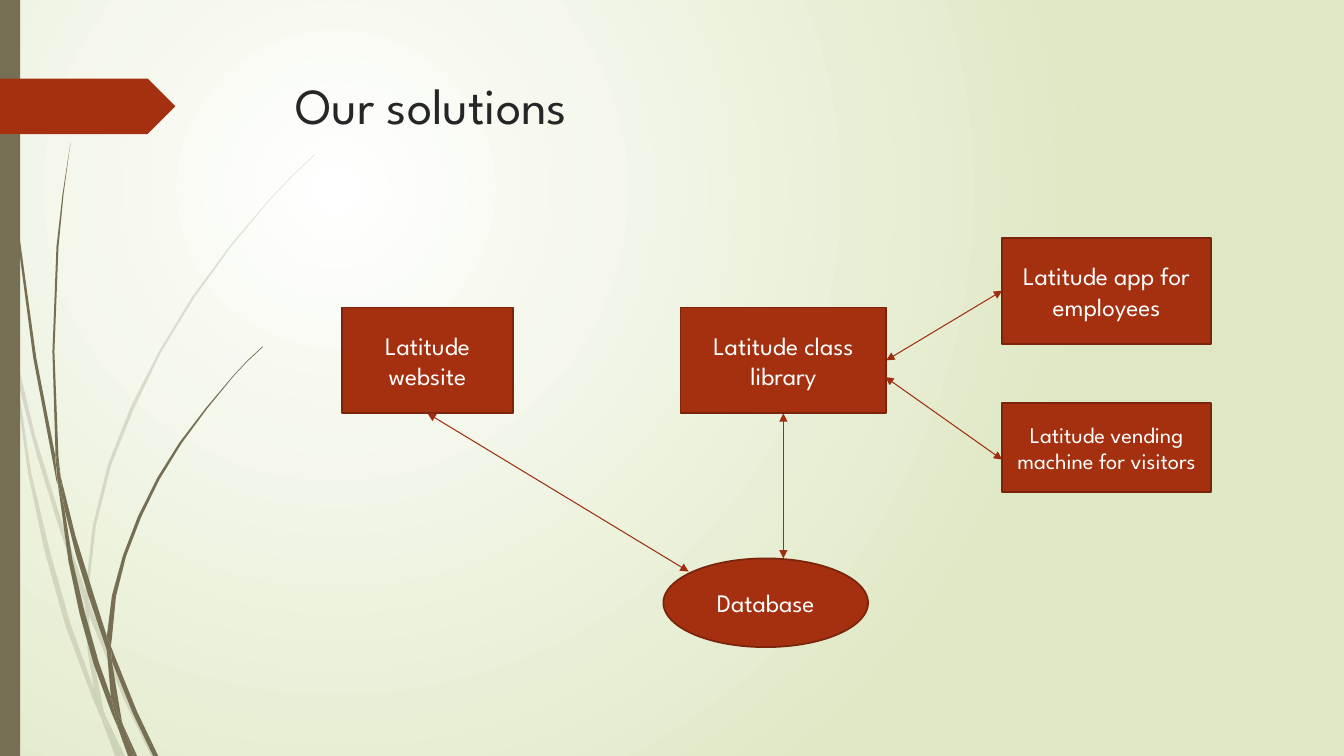
from pptx import Presentation
from pptx.dml.color import RGBColor
from pptx.enum.shapes import MSO_CONNECTOR, MSO_SHAPE
from pptx.enum.text import MSO_ANCHOR, PP_ALIGN
from pptx.oxml import parse_xml
from pptx.oxml.ns import nsdecls, qn
from pptx.util import Inches, Pt

RECT, OVAL, TAG = MSO_SHAPE.RECTANGLE, MSO_SHAPE.OVAL, MSO_SHAPE.PENTAGON
STRAIGHT = MSO_CONNECTOR.STRAIGHT
MIDDLE, TOP = MSO_ANCHOR.MIDDLE, MSO_ANCHOR.TOP
CENTER, LEFT = PP_ALIGN.CENTER, PP_ALIGN.LEFT

WIDE, HIGH = 13.33, 7.5
FONT = "League Spartan"
RUST, EDGE, ARROW = "A53010", "7A240C", "9E2E0F"
OLIVE, INK, WHITE, LIME = "766F54", "262626", "FFFFFF", "DFE8C4"

TITLE = "Our solutions"
NODES = {
    "data": ("Database", OVAL, 18, (6.58, 5.54, 2.03, 0.88)),
    "site": ("Latitude website", RECT, 18, (3.39, 3.05, 1.7, 1.05)),
    "lib": ("Latitude class library", RECT, 18, (6.75, 3.05, 2.04, 1.05)),
    "vend": ("Latitude vending machine for visitors", RECT, 16, (9.94, 4, 2.07, 0.88)),
    "app": ("Latitude app for employees", RECT, 18, (9.94, 2.36, 2.07, 1.05)),
}
LINKS = [
    ((4.24, 4.1), (6.83, 5.67), ("site", 2), None),
    ((7.77, 4.1), (7.77, 5.54), ("lib", 2), None),
    ((8.78, 3.58), (9.94, 2.89), ("lib", 3), ("app", 1)),
    ((8.78, 3.74), (9.94, 4.56), None, None),
]
# Outlines of the grass, x and y in turn
PALE = [
    (0.11, 3.5, 0.09, 3.22, 0, 2.82, 0, 2.99, 0.1, 3.44),
    (0.58, 5.22, 0.84, 5.99, 0.85, 5.86, 0.62, 5.2, 0.35, 4.33, 0.14, 3.45,
     0.17, 3.76, 0.36, 4.5),
    (0.92, 6.07, 0.88, 5.96, 0.88, 6.1, 1.23, 6.94, 1.5, 7.5, 1.55, 7.5, 1.27, 6.92),
    (1.19, 7.5, 1.24, 7.5, 1.05, 7.11),
    (0.93, 6.83, 0.7, 6.19, 0.49, 5.45, 0.31, 4.69, 0.17, 3.76, 0.11, 3.5, 0.28, 4.7,
     0.44, 5.46, 0.65, 6.21, 0.92, 6.93, 1.01, 7.14, 0.99, 7.07),
    (0.84, 5.99, 0.87, 6.46, 0.93, 6.83, 0.96, 6.92, 1.05, 7.11, 1.03, 7.06, 0.91, 6.46,
     0.88, 6.1, 0.88, 6.08),
    (0.88, 5.84, 0.95, 5.22, 1.1, 4.62, 1.33, 4.05, 1.6, 3.49, 1.93, 2.95, 2.29, 2.45,
     2.68, 1.98, 2.9, 1.75, 3.12, 1.54, 3.12, 1.53, 2.89, 1.75, 2.68, 1.97, 2.28, 2.44,
     1.91, 2.94, 1.58, 3.48, 1.3, 4.03, 1.07, 4.61, 0.92, 5.22, 0.85, 5.84, 0.85, 5.86,
     0.88, 5.96),
    (1.01, 7.14, 1.14, 7.5, 1.19, 7.5),
    (0.88, 6.08, 0.88, 6.1, 0.88, 5.96, 0.85, 5.86, 0.84, 5.99),
    (0.96, 6.92, 0.93, 6.83, 0.99, 7.07, 1.01, 7.14, 1.19, 7.5, 1.05, 7.11),
]
DARK = [
    (0.07, 1.1, 0.17, 2.33, 0.33, 3.55, 0.56, 4.77, 0.57, 4.81, 0.55, 4.57, 0.55, 4.53,
     0.36, 3.55, 0.19, 2.32, 0.08, 1.09, 0.05, 0.48, 0.04, 0, 0.03, 0, 0.04, 0.48),
    (0.88, 5.92, 1.06, 6.45, 1.06, 6.31, 0.93, 5.9, 0.75, 5.32, 0.6, 4.72, 0.64, 5.05,
     0.75, 5.49),
    (1.13, 6.49, 1.1, 6.41, 1.11, 6.56, 1.32, 7.08, 1.52, 7.5, 1.57, 7.5, 1.36, 7.06),
    (1.1, 6.91, 0.98, 6.57, 0.84, 6.07, 0.72, 5.56, 0.64, 5.05, 0.57, 4.77, 0.68, 5.57,
     0.79, 6.09, 0.93, 6.59, 1.11, 7.08, 1.17, 7.22, 1.16, 7.17),
    (0.6, 4.72, 0.58, 4.53, 0.54, 3.49, 0.58, 2.45, 0.63, 1.93, 0.7, 1.41, 0.62, 1.93,
     0.56, 2.45, 0.52, 3.49, 0.55, 4.49),
    (1.33, 7.5, 1.36, 7.5, 1.22, 7.19),
    (0.57, 4.77, 0.64, 5.05, 0.6, 4.72, 0.55, 4.49, 0.55, 4.53),
    (1.11, 6.33, 1.15, 5.92, 1.25, 5.52, 1.4, 5.13, 1.58, 4.76, 1.8, 4.4, 2.05, 4.06,
     2.31, 3.74, 2.45, 3.59, 2.61, 3.44, 2.6, 3.44, 2.45, 3.58, 2.31, 3.73, 2.04, 4.05,
     1.78, 4.39, 1.56, 4.74, 1.37, 5.12, 1.22, 5.51, 1.11, 5.91, 1.06, 6.31, 1.1, 6.41),
    (1.17, 7.22, 1.27, 7.5, 1.31, 7.5),
    (1.06, 6.45, 1.1, 6.91, 1.16, 7.06, 1.22, 7.19, 1.21, 7.16, 1.11, 6.56, 1.09, 6.51),
    (1.06, 6.45, 1.09, 6.51, 1.11, 6.56, 1.1, 6.41, 1.06, 6.31),
    (1.16, 7.06, 1.1, 6.91, 1.16, 7.17, 1.17, 7.22, 1.3, 7.5, 1.33, 7.5, 1.22, 7.19),
]


def rgb(code):
    return RGBColor.from_string(code)


def paint(shape, fill, line=None):
    shape.shadow.inherit = False
    shape.fill.solid()
    shape.fill.fore_color.rgb = rgb(fill)
    if line:
        shape.line.color.rgb = rgb(line)
        shape.line.width = Pt(1.25)
    else:
        shape.line.fill.background()


def write(shape, text, size, color, align, anchor):
    frame = shape.text_frame
    frame.word_wrap = True
    frame.vertical_anchor = anchor
    frame.text = text
    para = frame.paragraphs[0]
    para.alignment = align
    font = para.runs[0].font
    font.name, font.size, font.color.rgb = FONT, Pt(size), rgb(color)


def grow(shapes, edge, alpha=None):
    flat = [Inches(n) for n in edge]
    dots = list(zip(flat[::2], flat[1::2]))
    pen = shapes.build_freeform(*dots[0])
    pen.add_line_segments(dots[1:], close=True)
    blade = pen.convert_to_shape()
    paint(blade, OLIVE)
    if alpha:
        tone = blade.element.spPr.find(".//" + qn("a:srgbClr"))
        tone.append(parse_xml(f'<a:alpha {nsdecls("a")} val="{alpha * 1000}"/>'))


def add(shapes, kind, box):
    return shapes.add_shape(kind, *map(Inches, box))


def link(shapes, made, start, end, head, tail):
    wire = shapes.add_connector(STRAIGHT, *map(Inches, start + end))
    if head:
        wire.begin_connect(made[head[0]], head[1])
    if tail:
        wire.end_connect(made[tail[0]], tail[1])
    wire.line.color.rgb = rgb(ARROW)
    wire.line.width = Pt(0.75)
    props = wire.element.spPr
    for tip in ("headEnd", "tailEnd"):
        props.find(qn("a:ln")).append(
            parse_xml(f'<a:{tip} {nsdecls("a")} type="triangle"/>'))
    props.append(parse_xml(f'<a:effectLst {nsdecls("a")}/>'))


def main():
    deck = Presentation()
    deck.slide_width, deck.slide_height = Inches(WIDE), Inches(HIGH)
    slide = deck.slides.add_slide(deck.slide_layouts[6])
    shapes = slide.shapes

    slide.element.cSld.insert(0, parse_xml(
        f'<p:bg {nsdecls("p", "a")}><p:bgPr><a:gradFill rotWithShape="1"><a:gsLst>'
        f'<a:gs pos="0"><a:srgbClr val="{WHITE}"/></a:gs>'
        f'<a:gs pos="100000"><a:srgbClr val="{LIME}"/></a:gs></a:gsLst>'
        '<a:path path="circle"><a:fillToRect l="50000" t="50000" r="100000" b="100000"/>'
        '</a:path></a:gradFill><a:effectLst/></p:bgPr></p:bg>'))

    for edge in PALE:
        grow(shapes, edge, 20)
    for edge in DARK:
        grow(shapes, edge)
    paint(add(shapes, RECT, (0, 0, 0.2, HIGH)), OLIVE)
    paint(add(shapes, TAG, (0, 0.78, 1.74, 0.55)), RUST)

    title = shapes.add_textbox(*map(Inches, (2.83, 0.69, 9.75, 1.4)))
    write(title, TITLE, 36, INK, LEFT, TOP)

    made = {}
    for name, (text, kind, size, box) in NODES.items():
        node = made[name] = add(shapes, kind, box)
        paint(node, RUST, EDGE)
        write(node, text, size, WHITE, CENTER, MIDDLE)
    for wire in LINKS:
        link(shapes, made, *wire)

    deck.save("out.pptx")


if __name__ == "__main__":
    main()
